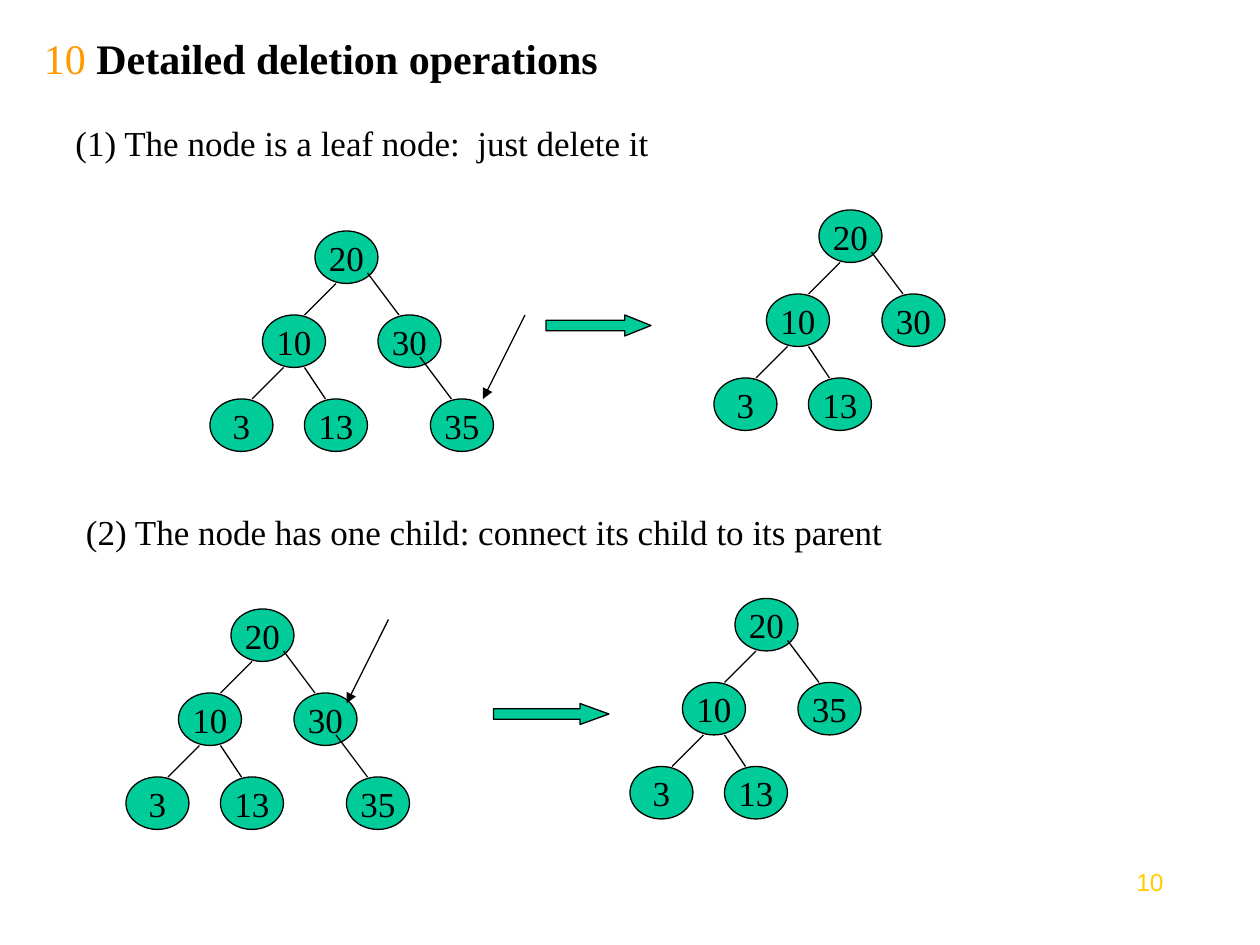
from lxml.etree import SubElement
from pptx import Presentation
from pptx.dml.color import RGBColor
from pptx.enum.shapes import MSO_CONNECTOR as CONN, MSO_SHAPE as SHAPE
from pptx.enum.text import MSO_ANCHOR as ANCHOR, PP_ALIGN as ALIGN
from pptx.oxml.ns import qn
from pptx.util import Pt

PX = 9525  # 96 px to the inch
COLORS = {"node": "00CC99", "ink": "000000", "number": "FF9900", "page": "FFCC00"}
SERIF = "Times New Roman"
NODE_W, NODE_H = 48, 40

# Node places, relative to the top left of a tree
PLACES = {
    "root": (80, 0),
    "left": (40, 64),
    "right": (128, 64),
    "left.left": (0, 128),
    "left.right": (72, 128),
    "right.right": (168, 128),
}
# Parent, child, start within the parent, end along the child's top
EDGES = [
    ("root", "left", (16, 40), 32),
    ("left", "left.left", (16, 40), 32),
    ("root", "right", (40, 32), 16),
    ("left", "left.right", (32, 40), 16),
    ("right", "right.right", (32, 32), 16),
]


def px(*values):
    return [v * PX for v in values]


def rgb(name):
    return RGBColor.from_string(COLORS[name])


def style_run(r, size, color="ink", font=SERIF, bold=False):
    r.font.size = Pt(size)
    r.font.name = font
    r.font.bold = bold
    r.font.color.rgb = rgb(color)


def style_outline(sp):
    sp.shadow.inherit = False
    sp.fill.solid()
    sp.fill.fore_color.rgb = rgb("node")
    sp.line.color.rgb = rgb("ink")
    sp.line.width = Pt(0.75)


def add_text(s, box, runs, anchor=ANCHOR.TOP, align=ALIGN.LEFT, before=0):
    """Add one paragraph; each run is (text, style_run options)."""
    tf = s.shapes.add_textbox(*px(*box)).text_frame
    tf.word_wrap = True
    tf.vertical_anchor = anchor
    p = tf.paragraphs[0]
    p.alignment = align
    p.space_before = Pt(before)
    for text, options in runs:
        r = p.add_run()
        r.text = text
        style_run(r, **options)


def add_line(shapes, start, end, arrow=False):
    line = shapes.add_connector(CONN.STRAIGHT, *px(*start, *end))
    line.line.color.rgb = rgb("ink")
    line.line.width = Pt(0.75)
    if arrow:
        SubElement(line.line._get_or_add_ln(), qn("a:tailEnd"), type="triangle")
    SubElement(line._element.spPr, qn("a:effectLst"))


def add_node(shapes, x, y, key):
    sp = shapes.add_shape(SHAPE.OVAL, *px(x, y, NODE_W, NODE_H))
    style_outline(sp)
    tf = sp.text_frame
    tf.text = str(key)
    tf.word_wrap = False
    tf.vertical_anchor = ANCHOR.MIDDLE
    p = tf.paragraphs[0]
    p.alignment = ALIGN.CENTER
    style_run(p.runs[0], 20)


def add_tree(s, x, y, keys, deleted=None, drop=0):
    """Draw the keys in PLACES order; an arrow marks the deleted node, drop px below its top."""
    shapes = s.shapes.add_group_shape().shapes
    at = {name: (x + dx, y + dy) for name, (dx, dy) in PLACES.items()}
    for name, key in keys.items():
        add_node(shapes, *at[name], key)
    for parent, child, (dx, dy), end in EDGES:
        if child in keys:
            (px0, py0), (cx, cy) = at[parent], at[child]
            add_line(shapes, (px0 + dx, py0 + dy), (cx + end, cy))
    if deleted:
        nx, ny = at[deleted]
        tip = (nx + 40, ny + drop)
        add_line(shapes, (tip[0] + 32, tip[1] - 64), tip, arrow=True)


def add_block_arrow(s, x, y, w, h=16):
    sp = s.shapes.add_shape(SHAPE.RIGHT_ARROW, *px(x, y, w, h))
    style_outline(sp)
    sp.adjustments[0] = 0.5
    sp.adjustments[1] = w / 4 / h


def add_title(s):
    add_text(s, (24, 24, 816, 40), [
        ("10 ", {"size": 24, "color": "number"}),
        ("Detailed deletion operations", {"size": 24, "bold": True}),
    ], anchor=ANCHOR.MIDDLE)


def add_heading(s, x, y, w, text):
    add_text(s, (x, y, w, 42), [(text, {"size": 20})], before=12.5)


def add_page_number(s):
    add_text(s, (832, 656, 64, 50),
             [("10", {"size": 14, "color": "page", "font": "Arial"})], align=ALIGN.RIGHT)


def main():
    prs = Presentation()
    prs.slide_width, prs.slide_height = px(960, 720)
    s = prs.slides.add_slide(prs.slide_layouts[6])

    full = dict(zip(PLACES, (20, 10, 30, 3, 13, 35)))
    leaf_removed = {name: key for name, key in full.items() if key != 35}
    child_raised = {**leaf_removed, "right": 35}

    add_page_number(s)
    add_title(s)

    add_heading(s, 48, 88, 776, "(1) The node is a leaf node:  just delete it")
    add_tree(s, 160, 176, full, deleted="right.right")
    add_block_arrow(s, 416, 240, 80)
    add_tree(s, 544, 160, leaf_removed)

    add_heading(s, 56, 384, 792,
                "(2) The node has one child: connect its child to its parent")
    add_tree(s, 96, 464, full, deleted="right", drop=8)
    add_block_arrow(s, 376, 536, 88)
    add_tree(s, 480, 456, child_raised)

    prs.save("out.pptx")


if __name__ == "__main__":
    main()
